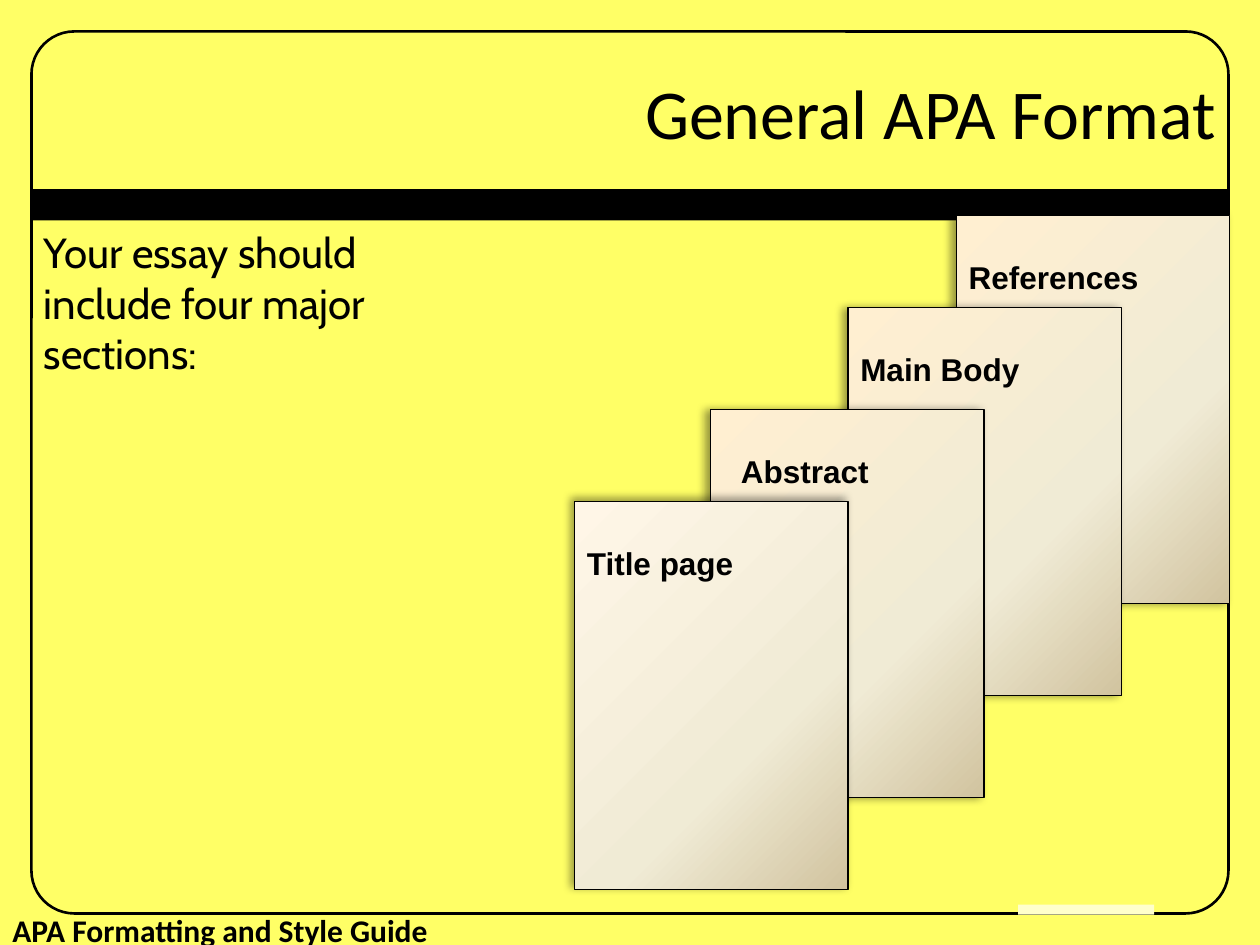
import copy

import lxml.etree
import pptx
import pptx.dml.color
import pptx.enum.shapes
import pptx.enum.text
import pptx.oxml.ns
import pptx.util
from pptx.util import Inches

RGBColor = pptx.dml.color.RGBColor
MSO_SHAPE = pptx.enum.shapes.MSO_SHAPE
PP_ALIGN = pptx.enum.text.PP_ALIGN
MSO_ANCHOR = pptx.enum.text.MSO_ANCHOR
qn = pptx.oxml.ns.qn

BLACK = RGBColor(0x00, 0x00, 0x00)
YELLOW = RGBColor(0xFF, 0xFF, 0x66)
PALE_YELLOW = RGBColor(0xFF, 0xFF, 0xCC)
PEACH = RGBColor(0xFF, 0xEF, 0xD1)
IVORY = RGBColor(0xFF, 0xF6, 0xE7)
CREAM = RGBColor(0xF0, 0xEB, 0xD5)
TAN = RGBColor(0xD1, 0xC3, 0x9F)

PAGE_WIDTH, PAGE_HEIGHT = 2.17, 3.08
# Left, top, label, label inset, lightest colour, shadow direction; back to front
PAGES = [
    (7.59, 1.71, "References", 0.1, PEACH, 180),
    (6.73, 2.44, "Main Body", 0.1, PEACH, 180),
    (5.64, 3.25, "Abstract", 0.24, PEACH, 180),
    (4.56, 3.98, "Title page", 0.1, IVORY, 225),
]


def add_box(slide, kind, left, top, width, height, fill=None):
    shape = slide.shapes.add_shape(
        kind, Inches(left), Inches(top), Inches(width), Inches(height))
    shape.shadow.inherit = False
    if fill is None:
        shape.fill.background()
    else:
        shape.fill.solid()
        shape.fill.fore_color.rgb = fill
    shape.line.fill.background()
    return shape


def write_lines(frame, lines, font_name, size, bold=False, align=PP_ALIGN.LEFT):
    frame.word_wrap = True
    frame.vertical_anchor = MSO_ANCHOR.TOP
    frame.text = "\n".join(lines)
    for paragraph in frame.paragraphs:
        paragraph.alignment = align
        paragraph.font.name = font_name
        paragraph.font.size = pptx.util.Pt(size)
        paragraph.font.bold = bold
        paragraph.font.color.rgb = BLACK


def add_text(slide, left, top, width, height, lines, font_name, size, **style):
    box = slide.shapes.add_textbox(
        Inches(left), Inches(top), Inches(width), Inches(height))
    write_lines(box.text_frame, lines, font_name, size, **style)


def add_frame(slide, left, top, width, height):
    # Rounded outline
    outline = add_box(slide, MSO_SHAPE.ROUNDED_RECTANGLE, left, top, width, height)
    outline.adjustments[0] = 0.34 / min(width, height)
    outline.line.color.rgb = BLACK
    outline.line.width = pptx.util.Pt(1.5)
    # Pale tab on the lower edge and bar below the title
    add_box(slide, MSO_SHAPE.RECTANGLE, left + 7.83, top + height - 0.07,
            1.08, 0.08, PALE_YELLOW)
    add_box(slide, MSO_SHAPE.RECTANGLE, left, top + 1.25, width, 0.25, BLACK)


def set_gradient(shape, stops):
    shape.fill.gradient()
    shape.fill.gradient_angle = 315
    stop_list = shape.element.spPr.find(".//" + qn("a:gsLst"))
    stop_list.append(copy.deepcopy(stop_list[0]))
    for stop, (position, color) in zip(shape.fill.gradient_stops, stops):
        stop.position = position
        stop.color.rgb = color


def set_shadow(shape, direction):
    effects = shape.element.spPr.find(qn("a:effectLst"))
    shadow = lxml.etree.SubElement(
        effects, qn("a:outerShdw"), blurRad=str(pptx.util.Pt(5)),
        dist=str(pptx.util.Pt(3)), dir=str(direction * 60000), rotWithShape="0")
    color = lxml.etree.SubElement(shadow, qn("a:srgbClr"), val=str(BLACK))
    lxml.etree.SubElement(color, qn("a:alpha"), val="40000")


def add_page(slide, left, top, width, height, label, inset, light, direction):
    page = add_box(slide, MSO_SHAPE.RECTANGLE, left, top, width, height)
    set_gradient(page, [(0, light), (0.65, CREAM), (1, TAN)])
    page.line.color.rgb = BLACK
    page.line.width = pptx.util.Pt(0.75)
    set_shadow(page, direction)
    # Label sits one line below the top edge
    page.text_frame.margin_left = Inches(inset)
    page.text_frame.margin_top = Inches(0.34)
    write_lines(page.text_frame, [label], "Arial", 18, bold=True)


def main():
    presentation = pptx.Presentation()
    presentation.slide_width = Inches(10)
    presentation.slide_height = Inches(7.5)
    slide = presentation.slides.add_slide(presentation.slide_layouts[6])
    slide.background.fill.solid()
    slide.background.fill.fore_color.rgb = YELLOW

    add_frame(slide, 0.25, 0.25, 9.5, 7)

    # Title, footer and introduction
    add_text(slide, 0.25, 0.5, 9.5, 0.77, ["General APA Format"],
             "Calibri", 40, align=PP_ALIGN.RIGHT)
    add_text(slide, 0, 7.18, 5.92, 0.4, ["APA Formatting and Style Guide"],
             "Calibri", 18, bold=True)
    add_text(slide, 0.25, 1.75, 9.5, 1.72,
             ["Your essay should", "include four major", "sections:"], "Cabin", 24)

    # Stack of essay pages
    for left, top, *details in PAGES:
        add_page(slide, left, top, PAGE_WIDTH, PAGE_HEIGHT, *details)

    presentation.save("out.pptx")


if __name__ == "__main__":
    main()
